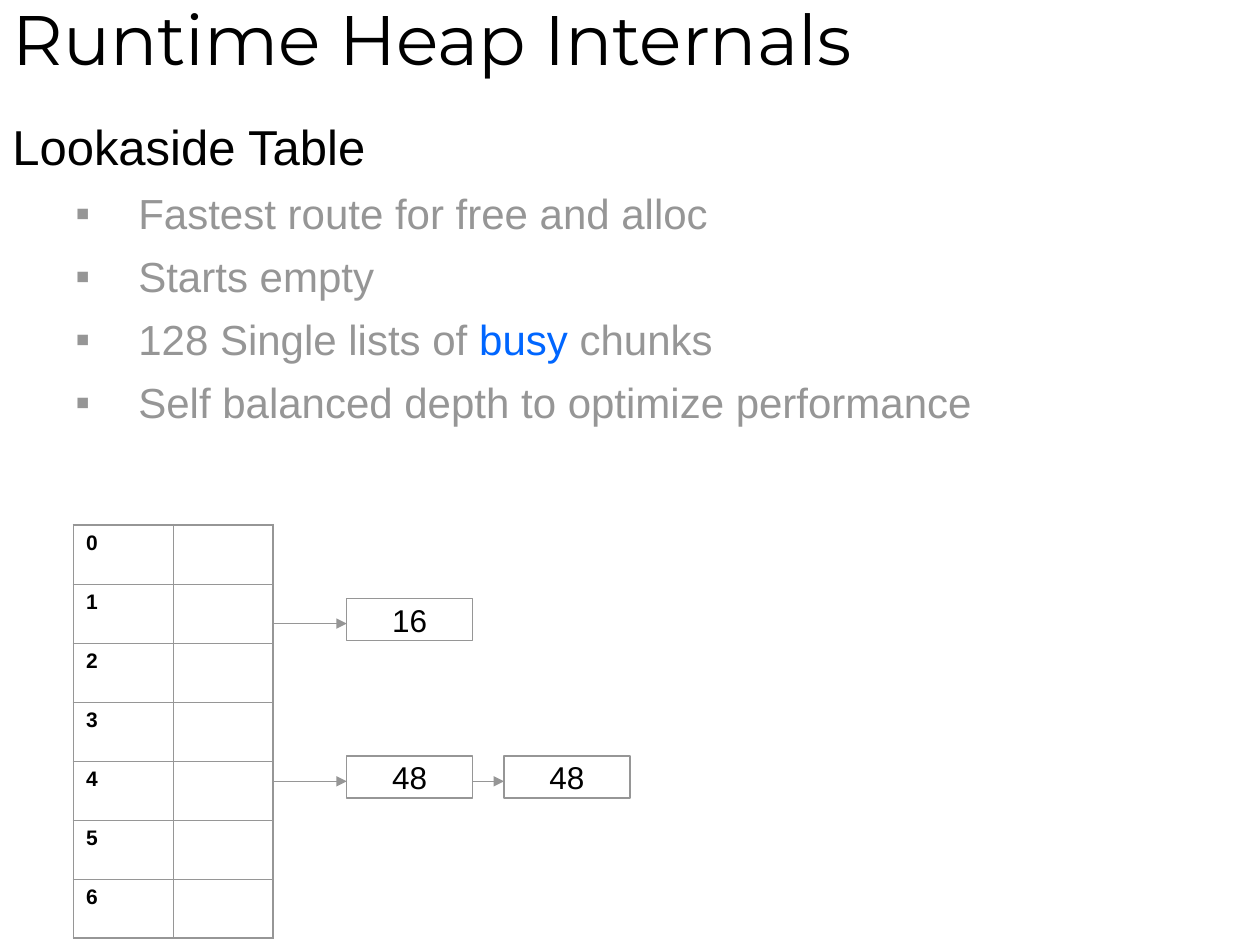
"""Build a slide on the lookaside table of a heap."""
from lxml.etree import SubElement as Sub
from pptx import Presentation
from pptx.dml.color import RGBColor as RGB
from pptx.enum.shapes import MSO_CONNECTOR as Link, MSO_SHAPE as Shape
from pptx.enum.text import MSO_ANCHOR as Anchor, MSO_AUTO_SIZE as Fit, PP_ALIGN as Align
from pptx.oxml.ns import qn
from pptx.util import Cm, Pt

HUES = {"ink": "000000", "grey": "969696", "blue": "0066FF", "white": "FFFFFF"}


def style(font, size, hue, face="Arial"):
    font.name, font.size = face, Pt(size)
    font.color.rgb = RGB.from_string(HUES[hue])


def edge(props, side, width):
    line = Sub(props, qn("a:" + side), w=str(Pt(width)))
    Sub(Sub(line, qn("a:solidFill")), qn("a:srgbClr"), val=HUES["grey"])


deck = Presentation()
deck.slide_width, deck.slide_height = Cm(25.4), Cm(19.05)
slide = deck.slides.add_slide(deck.slide_layouts[5])
shapes = slide.shapes

title = shapes.title
title.left, title.top, title.width, title.height = Cm(0), Cm(-0.2), Cm(25.4), Cm(1.9)
title.text_frame.text = "Runtime Heap Internals"
title.text_frame.auto_size = Fit.NONE
title.text_frame.vertical_anchor = Anchor.MIDDLE
head = title.text_frame.paragraphs[0]
head.alignment = Align.LEFT
style(head.font, 40, "ink", "Montserrat")

body = shapes.add_textbox(Cm(0), Cm(2.22), Cm(25.4), Cm(15.56)).text_frame
body.word_wrap = True
body.text = "Lookaside Table"
style(body.paragraphs[0].font, 28, "ink")

points = [
    ["Fastest route for free and alloc"],
    ["Starts empty"],
    ["128 Single lists of ", "busy", " chunks"],
    ["Self balanced depth to optimize performance"],
]
for parts in points:
    para = body.add_paragraph()
    para.level = 1
    para.space_before = Pt(7.2)
    props = para._p.get_or_add_pPr()
    props.set("marL", str(Cm(2.54)))
    props.set("indent", str(Cm(-1.27)))
    Sub(Sub(props, qn("a:buClr")), qn("a:srgbClr"), val=HUES["grey"])
    Sub(props, qn("a:buFont"), typeface="Arial")
    Sub(props, qn("a:buChar"), char="▪")
    style(para.font, 24, "grey")
    for part in parts:
        run = para.add_run()
        run.text = part
        if part == "busy":
            run.font.color.rgb = RGB.from_string(HUES["blue"])

ROWS, COLS = 7, 2
grid = shapes.add_table(ROWS, COLS, Cm(1.48), Cm(10.58), Cm(4.02), Cm(8.33)).table
grid.first_row = grid.horz_banding = False
for col in grid.columns:
    col.width = Cm(2.01)
for r, row in enumerate(grid.rows):
    row.height = Cm(1.19)
    for c, cell in enumerate(row.cells):
        props = cell._tc.get_or_add_tcPr()
        outer = {"lnL": c == 0, "lnR": c == COLS - 1, "lnT": r == 0, "lnB": r == ROWS - 1}
        for side, rim in outer.items():
            edge(props, side, 1.08 if rim else 0.45)
        cell.fill.background()
        cell.text = "" if c else str(r)
        para = cell.text_frame.paragraphs[0]
        style(para.font, 12, "ink")
        para.font.bold = True

for text, left, top in [("16", 6.99, 12.07), ("48", 6.99, 15.24), ("48", 10.16, 15.24)]:
    box = shapes.add_shape(Shape.RECTANGLE, Cm(left), Cm(top), Cm(2.54), Cm(0.85))
    box.shadow.inherit = False
    box.fill.solid()
    box.fill.fore_color.rgb = RGB.from_string(HUES["white"])
    box.line.color.rgb = RGB.from_string(HUES["grey"])
    box.line.width = Pt(0.75)
    frame = box.text_frame
    frame.word_wrap = False
    frame.vertical_anchor = Anchor.MIDDLE
    frame.text = text
    frame.paragraphs[0].alignment = Align.CENTER
    style(frame.paragraphs[0].font, 18, "ink")

for start, end, y in [(5.5, 6.99, 12.57), (5.5, 6.99, 15.75), (9.53, 10.16, 15.75)]:
    arrow = shapes.add_connector(Link.STRAIGHT, Cm(start), Cm(y), Cm(end), Cm(y))
    arrow.line.color.rgb = RGB.from_string(HUES["grey"])
    arrow.line.width = Pt(0.75)
    Sub(arrow.line._get_or_add_ln(), qn("a:tailEnd"), type="triangle")
    Sub(arrow._element.spPr, qn("a:effectLst"))

deck.save("out.pptx")
